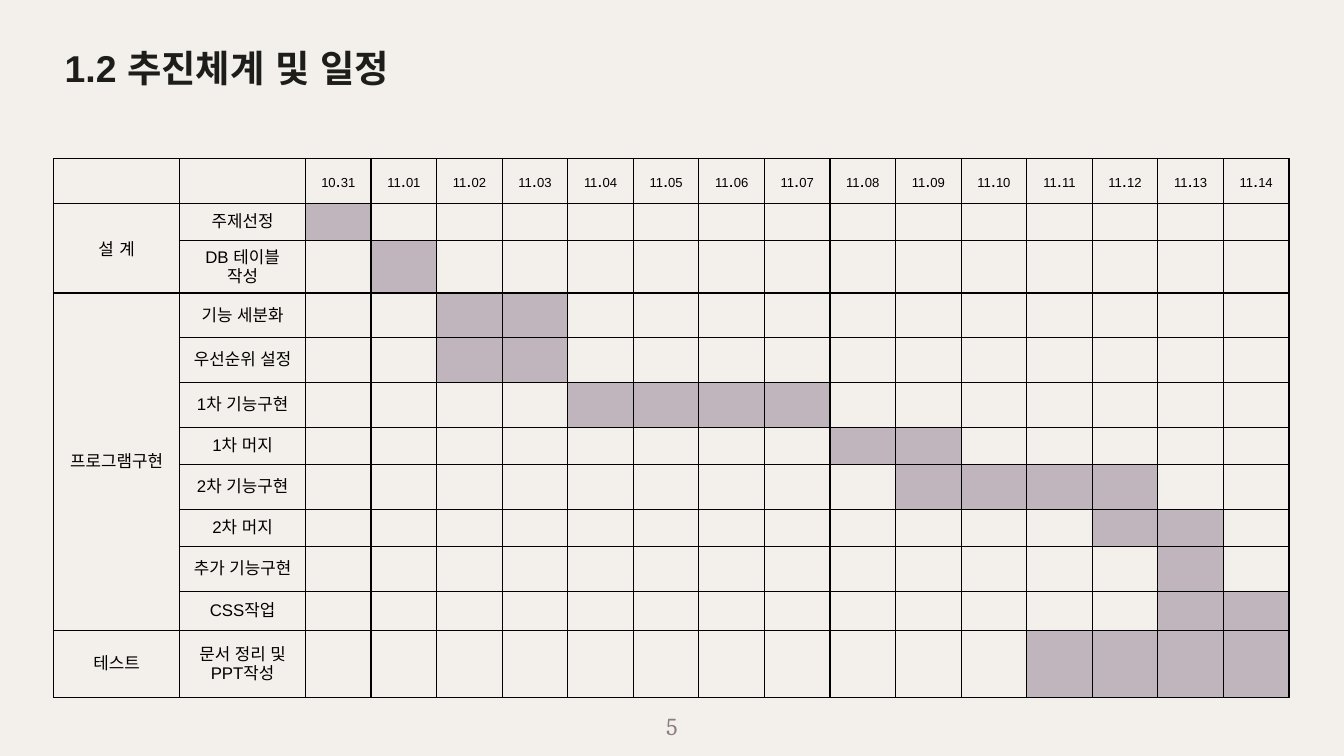
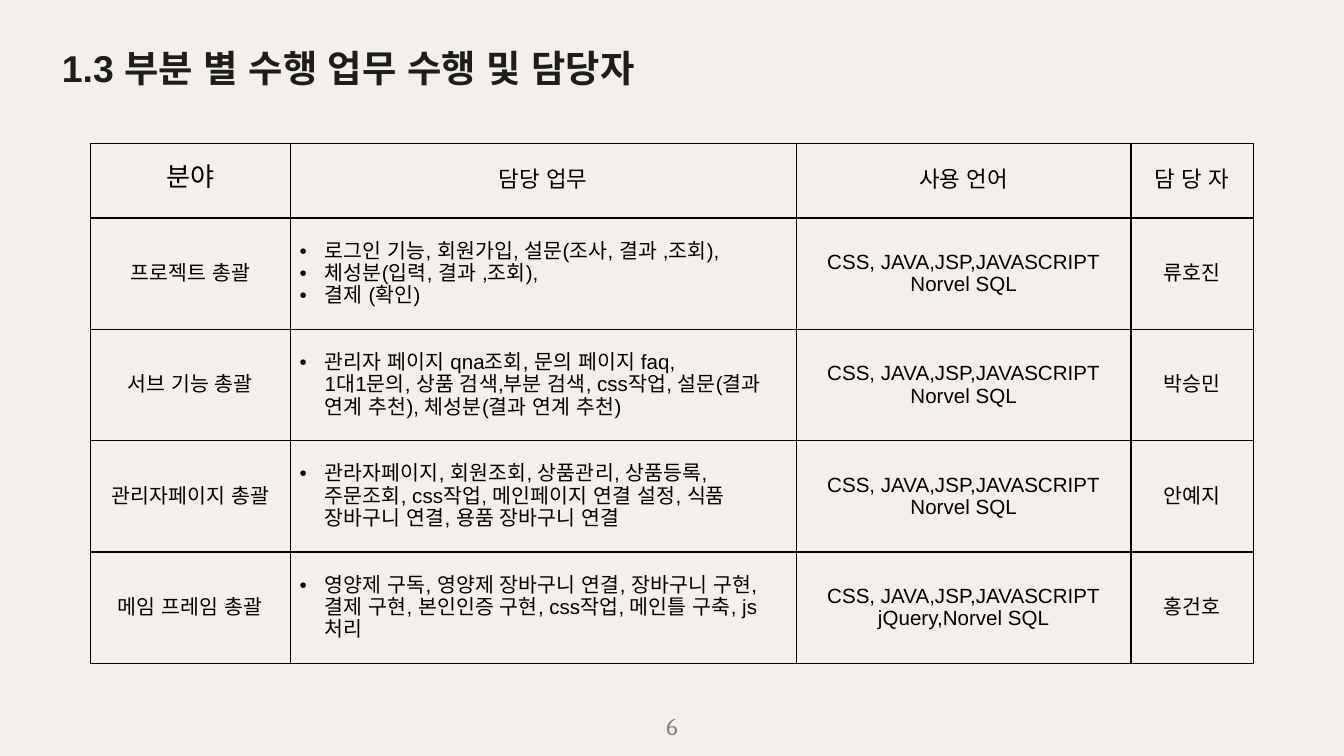
from dataclasses import dataclass
from typing import NamedTuple

from lxml.etree import SubElement
from pptx import Presentation
from pptx.dml.color import RGBColor
from pptx.enum.text import MSO_ANCHOR as Anchor, MSO_AUTO_SIZE as AutoSize, PP_ALIGN as Align
from pptx.oxml.ns import qn
from pptx.util import Pt

PAPER = RGBColor(0xF3, 0xEF, 0xEA)
INK = RGBColor(0x1D, 0x1D, 0x1B)
MAUVE = RGBColor(0x8F, 0x7B, 0x87)
BAR = RGBColor(0xC0, 0xB5, 0xBC)
BLACK = RGBColor(0x00, 0x00, 0x00)

SLIDE_W, SLIDE_H = 720, 405
TITLE_ONLY = 5
LINE_PITCH = 12
BULLET_INDENT = 13.5


class Box(NamedTuple):
    left: float
    top: float
    width: float
    height: float

    def lengths(self):
        return [Pt(v) for v in self]


class Style(NamedTuple):
    size: float
    color: RGBColor = BLACK
    font: str = "Arial"
    bold: bool = False


@dataclass
class Task:
    name: str
    height: float
    first: int
    last: int


@dataclass
class Phase:
    name: str
    tasks: list[Task]


@dataclass
class Duty:
    area: str
    work: list[str]
    languages: list[str]
    owner: str


TITLE = Style(20, INK, bold=True)
PAGE_NUMBER = Style(13, MAUVE, "Cambria")
DATE, DOT = Style(7), Style(10)
LABEL, LABEL_GAP = Style(9), Style(11)
HEAD_FIRST, HEAD, BODY = Style(14), Style(12), Style(11)

DATES = ["10.31"] + [f"11.{day:02d}" for day in range(1, 15)]
DATE_ROW_H = 24
LABEL_W, DAY_W = 67.5, 35.14

PHASES = [
    Phase("설 계", [
        Task("주제선정", 20, 0, 0),
        Task("DB 테이블 작성", 28, 1, 1),
    ]),
    Phase("프로그램구현", [
        Task("기능 세분화", 24, 2, 3),
        Task("우선순위 설정", 24, 2, 3),
        Task("1차 기능구현", 24, 4, 7),
        Task("1차 머지", 20, 8, 9),
        Task("2차 기능구현", 24, 9, 12),
        Task("2차 머지", 20, 12, 13),
        Task("추가 기능구현", 24, 13, 13),
        Task("CSS작업", 21, 13, 14),
    ]),
    Phase("테스트", [Task("문서 정리 및 PPT작성", 36, 11, 14)]),
]

DUTY_HEADS = ["분야", "담당 업무", "사용 언어", "담 당 자"]
DUTY_COLS = [107.1, 271.1, 179.4, 65.4]
DUTY_HEAD_H, DUTY_ROW_H = 39.9, 59.65
WEB = "CSS, JAVA,JSP,JAVASCRIPT"
DUTIES = [
    Duty("프로젝트 총괄",
         ["로그인 기능, 회원가입, 설문(조사, 결과 ,조회),", "체성분(입력, 결과 ,조회),", "결제 (확인)"],
         [WEB, "Norvel SQL"], "류호진"),
    Duty("서브 기능 총괄",
         ["관리자 페이지 qna조회, 문의 페이지 faq,\n1대1문의, 상품 검색,부분 검색, css작업, "
          "설문(결과 연계 추천), 체성분(결과 연계 추천)"],
         [WEB, "Norvel SQL"], "박승민"),
    Duty("관리자페이지 총괄",
         ["관라자페이지, 회원조회, 상품관리, 상품등록, 주문조회, css작업, "
          "메인페이지 연결 설정, 식품 장바구니 연결, 용품 장바구니 연결"],
         [WEB, "Norvel SQL"], "안예지"),
    Duty("메임 프레임 총괄",
         ["영양제 구독, 영양제 장바구니 연결, 장바구니 구현, 결제 구현, 본인인증 구현, "
          "css작업, 메인틀 구축, js처리"],
         [WEB, "jQuery,Norvel SQL"], "홍건호"),
]


def add_run(p, text: str, style: Style) -> None:
    r = p.add_run()
    r.text = text
    r.font.size = Pt(style.size)
    r.font.bold = style.bold
    r.font.color.rgb = style.color
    r.font.name = style.font
    SubElement(r.font._element, qn("a:ea"), typeface=style.font)


def add_title(slide, text: str, box: Box, align: Align) -> None:
    sp = slide.shapes.title
    sp.left, sp.top, sp.width, sp.height = box.lengths()
    tf = sp.text_frame
    tf.auto_size = AutoSize.NONE
    tf.word_wrap = True
    tf.vertical_anchor = Anchor.MIDDLE
    tf.margin_left = tf.margin_right = tf.margin_top = tf.margin_bottom = Pt(7.2)
    p = tf.paragraphs[0]
    p.alignment = align
    add_run(p, text, TITLE)


def add_page_number(slide, number: int) -> None:
    tf = slide.shapes.add_textbox(*Box(338.4, 373.7, 43.2, 31).lengths()).text_frame
    tf.word_wrap = True
    tf.margin_left = tf.margin_right = tf.margin_top = tf.margin_bottom = Pt(7.2)
    p = tf.paragraphs[0]
    p.alignment = Align.CENTER
    add_run(p, str(number), PAGE_NUMBER)


def format_cell(cell) -> None:
    cell.margin_left = cell.margin_right = Pt(5)
    cell.margin_top = cell.margin_bottom = 0
    cell.vertical_anchor = Anchor.MIDDLE
    tc_pr = cell._tc.get_or_add_tcPr()
    for side in ("a:lnL", "a:lnR", "a:lnT", "a:lnB"):
        ln = SubElement(tc_pr, qn(side), w=str(Pt(0.75)))
        SubElement(SubElement(ln, qn("a:solidFill")), qn("a:srgbClr"), val=str(BLACK))
    cell.fill.background()


def add_grid(slide, left: float, top: float, cols: list[float], rows: list[float]):
    box = Box(left, top, sum(cols), sum(rows))
    table = slide.shapes.add_table(len(rows), len(cols), *box.lengths()).table
    table.first_row = table.horz_banding = False
    for col, width in zip(table.columns, cols):
        col.width = Pt(width)
    for row, height in zip(table.rows, rows):
        row.height = Pt(height)
        for cell in row.cells:
            format_cell(cell)
    return table


def write_runs(cell, runs: list[tuple[str, Style]]) -> None:
    p = cell.text_frame.paragraphs[0]
    p.alignment = Align.CENTER
    for text, style in runs:
        add_run(p, text, style)


def add_bullet(p) -> None:
    p_pr = p._p.get_or_add_pPr()
    p_pr.set("marL", str(Pt(BULLET_INDENT)))
    p_pr.set("indent", str(-Pt(BULLET_INDENT)))
    SubElement(SubElement(p_pr, qn("a:buClr")), qn("a:srgbClr"), val=str(BLACK))
    SubElement(p_pr, qn("a:buFont"), typeface="Arial")
    SubElement(p_pr, qn("a:buChar"), char="•")


def write_lines(cell, lines: list[str], style: Style, bulleted: bool = False) -> None:
    tf = cell.text_frame
    for i, line in enumerate(lines):
        p = tf.add_paragraph() if i else tf.paragraphs[0]
        p.alignment = Align.LEFT if bulleted else Align.CENTER
        p.line_spacing = Pt(LINE_PITCH)
        if bulleted:
            add_bullet(p)
        for j, part in enumerate(line.split("\n")):
            if j:
                p.add_line_break()
            add_run(p, part, style)


def shrink_empty_cells(table) -> None:
    for cell in table.iter_cells():
        p = cell.text_frame.paragraphs[0]
        if not p.runs:
            SubElement(p._p, qn("a:endParaRPr"), sz=str(DATE.size * 100))


def add_schedule(slide) -> None:
    heights = [task.height for phase in PHASES for task in phase.tasks]
    table = add_grid(slide, 28.7, 85, [LABEL_W] * 2 + [DAY_W] * len(DATES), [DATE_ROW_H] + heights)
    for col, date in enumerate(DATES, 2):
        month, day = date.split(".")
        write_runs(table.cell(0, col), [(month, DATE), (".", DOT), (day, DATE)])
    row = 1
    for phase in PHASES:
        cell = table.cell(row, 0)
        if len(phase.tasks) > 1:
            cell.merge(table.cell(row + len(phase.tasks) - 1, 0))
        head, gap, tail = phase.name.partition(" ")
        parts = [(head, LABEL), (gap, LABEL_GAP), (tail, LABEL)]
        write_runs(cell, [part for part in parts if part[0]])
        for task in phase.tasks:
            write_runs(table.cell(row, 1), [(task.name, LABEL)])
            for day in range(task.first, task.last + 1):
                fill = table.cell(row, day + 2).fill
                fill.solid()
                fill.fore_color.rgb = BAR
            row += 1
    shrink_empty_cells(table)


def add_duties(slide) -> None:
    rows = [DUTY_HEAD_H] + [DUTY_ROW_H] * len(DUTIES)
    table = add_grid(slide, 48.4, 76.9, DUTY_COLS, rows)
    for col, head in enumerate(DUTY_HEADS):
        write_lines(table.cell(0, col), [head], HEAD if col else HEAD_FIRST)
    for row, duty in enumerate(DUTIES, 1):
        write_lines(table.cell(row, 0), [duty.area], BODY)
        write_lines(table.cell(row, 1), duty.work, BODY, bulleted=True)
        write_lines(table.cell(row, 2), duty.languages, BODY)
        write_lines(table.cell(row, 3), [duty.owner], BODY)


def add_page(prs, number: int, title: str, box: Box, align: Align):
    slide = prs.slides.add_slide(prs.slide_layouts[TITLE_ONLY])
    add_title(slide, title, box, align)
    add_page_number(slide, number)
    return slide


def main() -> None:
    prs = Presentation()
    prs.slide_width, prs.slide_height = Pt(SLIDE_W), Pt(SLIDE_H)
    fill = prs.slide_master.background.fill
    fill.solid()
    fill.fore_color.rgb = PAPER
    add_schedule(add_page(prs, 5, "1.2 추진체계 및 일정", Box(16.5, 14.4, 210.2, 44), Align.CENTER))
    add_duties(add_page(prs, 6, "1.3 부분 별 수행 업무 수행 및 담당자", Box(26, 14.4, 362, 44), Align.LEFT))
    prs.save("out.pptx")


if __name__ == "__main__":
    main()
